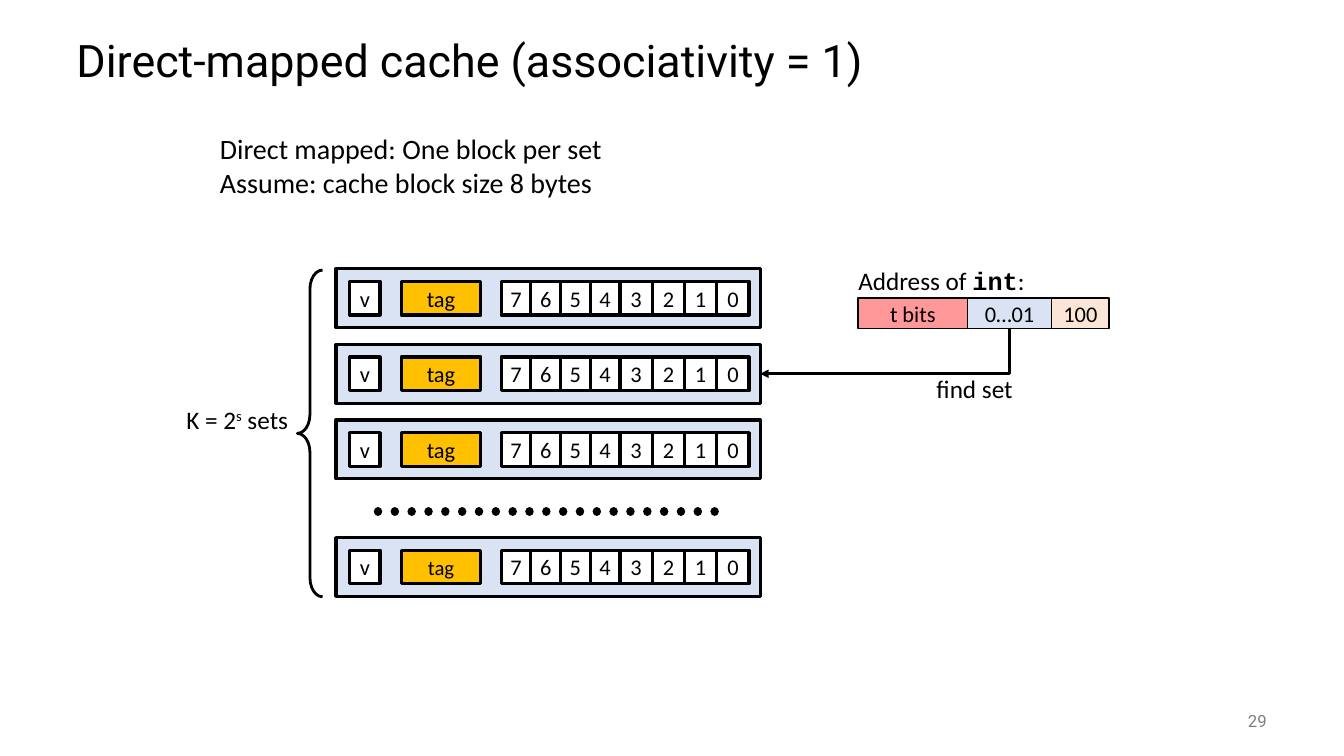
from lxml.etree import SubElement
from pptx import Presentation
from pptx.dml.color import RGBColor as RGB
from pptx.enum.dml import MSO_LINE as DASH
from pptx.enum.shapes import MSO_CONNECTOR as CONN, MSO_SHAPE as SHAPE
from pptx.enum.text import MSO_ANCHOR as ANCHOR, MSO_AUTO_SIZE as FIT, PP_ALIGN as ALIGN
from pptx.oxml.ns import qn
from pptx.util import Inches, Pt

COLS, ROWS = 160, 90
WIDTH, HEIGHT = Inches(13.33), Inches(7.5)
COLORS = {"ink": "000000", "paper": "FFFFFF", "set": "DAE3F3", "tag": "FFC000",
          "t_bits": "FF9999", "offset": "FBE5D6", "number": "808080"}
SET_ROWS = (32, 41, 50, 64)
SET_LEFT, SET_WIDTH, SET_HEIGHT = 40, 50.5, 7
FIND_ROW = SET_ROWS[1] + SET_HEIGHT / 2


def color(name):
    """Return the named colour."""
    return RGB.from_string(COLORS[name])


def grid(*cells):
    """Turn alternating columns and rows into slide lengths."""
    return [int(n * (HEIGHT / ROWS if i % 2 else WIDTH / COLS)) for i, n in enumerate(cells)]


def set_attrs(target, values):
    """Set each named value on the target."""
    for name, value in values.items():
        setattr(target, name, value)


def add_run(p, text, size, ink="ink", baseline=None, **fmt):
    """Add a formatted run to a paragraph."""
    r = p.add_run()
    r.text = text
    set_attrs(r.font, {"name": "Calibri", "size": Pt(size), **fmt})
    r.font.color.rgb = color(ink)
    if baseline:
        r._r.get_or_add_rPr().set("baseline", str(baseline))


def set_line(sp, weight):
    """Give a shape or connector a solid ink line."""
    sp.line.width = Pt(weight)
    sp.line.color.rgb = color("ink")


def add_box(s, at, fill, weight, text="", size=16, wrap=True):
    """Add a bordered rectangle with centred text."""
    sp = s.shapes.add_shape(SHAPE.RECTANGLE, *grid(*at))
    sp.shadow.inherit = False
    sp.fill.solid()
    sp.fill.fore_color.rgb = color(fill)
    set_line(sp, weight)
    if text:
        tf = sp.text_frame
        set_attrs(tf, {"word_wrap": wrap, "vertical_anchor": ANCHOR.MIDDLE})
        tf.paragraphs[0].alignment = ALIGN.CENTER
        add_run(tf.paragraphs[0], text, size)


def add_label(s, at, lines, size, **frame):
    """Add a text box whose lines are lists of (text, format) runs."""
    tf = s.shapes.add_textbox(*grid(*at)).text_frame
    set_attrs(tf, {"word_wrap": False, "auto_size": FIT.SHAPE_TO_FIT_TEXT, **frame})
    for i, runs in enumerate(lines):
        p = tf.add_paragraph() if i else tf.paragraphs[0]
        for text, fmt in runs:
            add_run(p, text, size, **fmt)
    return tf


def add_line(s, kind, ends, weight):
    """Add a plain connector between two grid points."""
    c = s.shapes.add_connector(kind, *grid(*ends))
    set_line(c, weight)
    SubElement(c._element.spPr, qn("a:effectLst"))
    return c


def add_dots(s):
    """Add the dotted line that stands for the omitted sets."""
    c = add_line(s, CONN.STRAIGHT, (45, 60.9, 86, 60.9), 6)
    c.line.dash_style = DASH.ROUND_DOT
    c._element.spPr.find(qn("a:ln")).set("cap", "rnd")


def add_find_arrow(s, x1, y1, x2, y2):
    """Add an arrow that runs down and then left, as a turned elbow."""
    mid_x, mid_y, drop, run = (x1 + x2) / 2, (y1 + y2) / 2, (y2 - y1) / 2, (x1 - x2) / 2
    c = add_line(s, CONN.ELBOW, (mid_x - drop, mid_y - run, mid_x + drop, mid_y + run), 2)
    props = c._element.spPr
    props.find(qn("a:xfrm")).set("rot", "5400000")
    props.find(qn("a:prstGeom")).set("prst", "bentConnector2")
    SubElement(props.find(qn("a:ln")), qn("a:tailEnd"), type="triangle")


def add_cells(s, left, top, height, cells, weight, wrap=True):
    """Add adjoining boxes from (text, width, fill) entries."""
    for text, width, fill in cells:
        add_box(s, (left, top, width, height), fill, weight, text, wrap=wrap)
        left += width


def add_cache_set(s, top, tag_size):
    """Add one cache set with its valid bit, tag and eight bytes."""
    add_box(s, (SET_LEFT, top, SET_WIDTH, SET_HEIGHT), "set", 2.25)
    top += 1.5
    add_box(s, (41.65, top, 3.6, 4), "paper", 2.25, "v", wrap=False)
    add_box(s, (47.75, top, 9.5, 4), "tag", 2.25, "tag", tag_size, wrap=False)
    data = [(str(n), 3.54 if n > 3 else 3.84, "paper") for n in range(7, -1, -1)]
    add_cells(s, 59.65, top, 4, data, 2.25, wrap=False)


def add_brace(s):
    """Add the brace that spans all sets."""
    sp = s.shapes.add_shape(SHAPE.LEFT_BRACE, *grid(35.4, 32.15, 3, 38.9))
    sp.shadow.inherit = False
    sp.adjustments[0] = 0.75
    sp.fill.background()
    set_line(sp, 2)


def add_title(s, text):
    """Place and fill the title placeholder."""
    sp = s.shapes.title
    set_attrs(sp, dict(zip(("left", "top", "width", "height"), grid(7.9, 3, 144, 9))))
    tf = sp.text_frame
    set_attrs(tf, {"vertical_anchor": ANCHOR.MIDDLE, "auto_size": FIT.NONE, "word_wrap": True})
    set_attrs(tf.paragraphs[0], {"alignment": ALIGN.LEFT, "line_spacing": 0.9})
    add_run(tf.paragraphs[0], text, 32, name="Roboto")


def main():
    """Build the slide and save it."""
    prs = Presentation()
    set_attrs(prs, {"slide_width": WIDTH, "slide_height": HEIGHT})
    s = prs.slides.add_slide(prs.slide_layouts[5])
    add_title(s, "Direct-mapped cache (associativity = 1)")
    add_label(s, (25, 15.1, 48.4, 9.2), [[("Direct mapped: One block per set", {})],
                                         [("Assume: cache block size 8 bytes", {})]], 20)
    add_brace(s)
    add_label(s, (21, 47.5, 15, 4.8),
              [[("K = 2", {}), ("s", {"baseline": 30000}), (" sets", {})]], 18)
    add_dots(s)
    for top in SET_ROWS:
        add_cache_set(s, top, 14.8 if top == SET_ROWS[-1] else 16)
    add_label(s, (101, 31, 22.4, 4.8),
              [[("Address of ", {}), ("int", {"name": "Courier New", "bold": True}), (":", {})]], 18)
    address = [("t bits", 13.05, "t_bits"), ("0…01", 10, "set"), ("100", 6.85, "offset")]
    add_cells(s, 102.15, 35.5, 3.6, address, 1)
    add_find_arrow(s, 120.15, 39, SET_LEFT + SET_WIDTH, FIND_ROW)
    add_label(s, (110.3, 43.9, 11.8, 4.8), [[("find set", {})]], 18)
    tf = add_label(s, (140, 83.4, 12, 4.8), [[("29", {"name": "Roboto", "ink": "number"})]], 12,
                   word_wrap=True, auto_size=FIT.NONE, vertical_anchor=ANCHOR.MIDDLE)
    tf.paragraphs[0].alignment = ALIGN.RIGHT
    prs.save("out.pptx")


if __name__ == "__main__":
    main()
